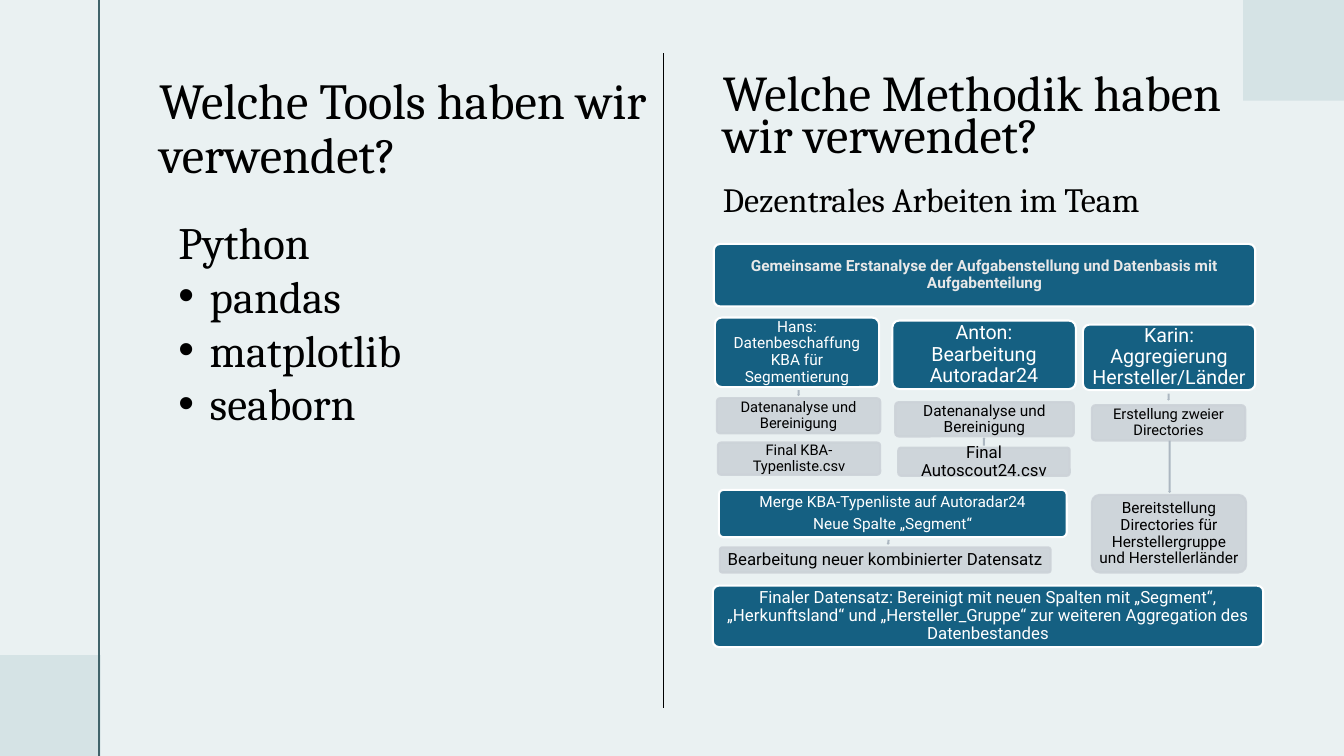
from pptx import Presentation
from pptx.dml.color import RGBColor
from pptx.enum.shapes import MSO_CONNECTOR as Connector, MSO_SHAPE as Shape
from pptx.enum.text import MSO_ANCHOR as Anchor, MSO_AUTO_SIZE as AutoSize, PP_ALIGN as Align
from pptx.oxml.ns import qn
from pptx.util import Inches, Pt
from lxml.etree import SubElement

BLUE, GREY, WHITE, BLACK = "156082", "CCD2D8", "FFFFFF", "000000"

STEPS = [
    (7.09, 3.15, 1.63, 0.69, "Hans: Datenbeschaffung KBA für Segmentierung", 11, BLUE, 0),
    (8.85, 3.18, 1.82, 0.68, "Anton:\vBearbeitung\vAutoradar24", 14, BLUE, -0.48),
    (10.74, 3.22, 1.71, 0.65, "Karin:\vAggregierung\vHersteller/Länder", 14, BLUE, -0.28),
    (7.11, 3.95, 1.62, 0.35, "Datenanalyse und Bereinigung", 10.5, GREY, 0),
    (7.12, 4.39, 1.61, 0.32, "Final KBA-Typenliste.csv", 10.5, GREY, 0),
    (8.88, 3.99, 1.77, 0.34, "Datenanalyse und Bereinigung", 11, GREY, 0),
    (8.91, 4.44, 1.7, 0.28, "Final Autoscout24.csv", 12, GREY, 0),
    (10.83, 4.02, 1.52, 0.35, "Erstellung zweier Directories", 10.5, GREY, 0),
    (10.83, 4.91, 1.53, 0.77,
     "Bereitstellung Directories für Herstellergruppe und Herstellerländer", 11, GREY, 0),
    (7.13, 4.86, 3.45, 0.47,
     "Merge KBA-Typenliste auf Autoradar24\nNeue Spalte „Segment“", 11, BLUE, 0),
    (7.14, 5.43, 3.28, 0.25, "Bearbeitung neuer kombinierter Datensatz", 12, GREY, 0),
    (7.07, 5.81, 5.46, 0.61,
     "Finaler Datensatz: Bereinigt mit neuen Spalten mit „Segment“, „Herkunftsland“ und "
     "„Hersteller_Gruppe“ zur weiteren Aggregation des Datenbestandes", 12, BLUE, 0),
]

ARROWS = [
    (7.92, 3.9, 0.06, 90),
    (11.59, 3.94, 0.07, 90),
    (11.6, 4.63, 0.52, 90),
    (9.76, 4.38, 0.08, 270),
    (8.81, 5.38, 0.05, 97),
]


def color(hex_string):
    return RGBColor.from_string(hex_string)


def format_runs(paragraph, size, hex_string, font_name, bold=False):
    for run in paragraph.runs:
        run.font.name = font_name
        run.font.size = Pt(size)
        run.font.bold = bold
        run.font.color.rgb = color(hex_string)


def add_filled(slide, kind, left, top, width, height, fill):
    shape = slide.shapes.add_shape(
        kind, Inches(left), Inches(top), Inches(width), Inches(height))
    shape.shadow.inherit = False
    shape.fill.solid()
    shape.fill.fore_color.rgb = color(fill)
    shape.line.fill.background()
    return shape


def add_rule(slide, x, top, bottom, hex_string, width):
    rule = slide.shapes.add_connector(
        Connector.STRAIGHT, Inches(x), Inches(top), Inches(x), Inches(bottom))
    rule.line.color.rgb = color(hex_string)
    rule.line.width = Pt(width)
    SubElement(rule._element.spPr, qn("a:effectLst"))


def add_step(slide, left, top, width, height, text, size, fill, first_indent=0,
             text_color=None, bold=False):
    step = add_filled(slide, Shape.ROUNDED_RECTANGLE, left, top, width, height, fill)
    step.adjustments[0] = 0.1
    step.line.color.rgb = color(WHITE if fill == BLUE else GREY)
    step.line.width = Pt(1.5)
    if fill == GREY:
        for solid in step._element.spPr.iter(qn("a:srgbClr")):
            SubElement(solid, qn("a:alpha"), val="90000")
    frame = step.text_frame
    frame.word_wrap = True
    frame.vertical_anchor = Anchor.MIDDLE
    frame.margin_left = frame.margin_right = Inches(0.03)
    frame.margin_top = frame.margin_bottom = Inches(0.02)
    frame.text = text
    for number, paragraph in enumerate(frame.paragraphs):
        paragraph.alignment = Align.CENTER
        paragraph.line_spacing = 0.9
        paragraph.space_before = Pt(4 if number else 0)
        if first_indent:
            properties = paragraph._p.get_or_add_pPr()
            properties.set("marL", "0")
            properties.set("indent", str(Inches(first_indent)))
        format_runs(paragraph, size, text_color or (WHITE if fill == BLUE else BLACK),
                    "Roboto", bold)


def add_arrow(slide, center_x, center_y, length, rotation):
    arrow = add_filled(slide, Shape.RIGHT_ARROW, center_x - length / 2,
                       center_y - 0.015, length, 0.03, "ACB7C1")
    arrow.adjustments[0] = 0.67
    arrow.rotation = rotation


def fill_placeholder(holder, left, top, width, height, lines):
    holder.left, holder.top = Inches(left), Inches(top)
    holder.width, holder.height = Inches(width), Inches(height)
    frame = holder.text_frame
    frame.auto_size = AutoSize.NONE
    frame.word_wrap = True
    frame.vertical_anchor = Anchor.TOP
    frame.margin_right = Inches(0.05)
    frame.text = "\n".join(line[0] for line in lines)
    for paragraph, (_, size, spacing, before, bullet) in zip(frame.paragraphs, lines):
        paragraph.alignment = Align.LEFT
        paragraph.line_spacing = spacing
        paragraph.space_before = Pt(before)
        properties = paragraph._p.get_or_add_pPr()
        hang = Inches(0.31) if bullet else 0
        properties.set("marL", str(hang))
        properties.set("indent", str(-hang))
        if bullet:
            SubElement(properties, qn("a:buFont"), typeface="Arial")
            SubElement(properties, qn("a:buChar"), char="•")
        else:
            SubElement(properties, qn("a:buNone"))
        format_runs(paragraph, size, BLACK, "Cambria")


def main():
    deck = Presentation()
    deck.slide_width, deck.slide_height = Inches(13.33), Inches(7.5)
    slide = deck.slides.add_slide(deck.slide_layouts[3])
    slide.background.fill.solid()
    slide.background.fill.fore_color.rgb = color("EAF1F2")

    for left, top in ((0, 6.5), (12.33, 0)):
        add_filled(slide, Shape.RECTANGLE, left, top, 1, 1, "D5E3E5")
    add_rule(slide, 0.98, 0, 7.5, "40636A", 1.5)
    add_rule(slide, 6.58, 0.53, 7.02, BLACK, 0.5)

    title, tools, method = slide.placeholders
    fill_placeholder(title, 1.48, 0.7, 5.03, 1.28,
                     [("Welche Tools haben wir verwendet?", 36, 0.9, 0, False)])
    fill_placeholder(tools, 1.67, 2.08, 2.91, 2.26,
                     [("Python", 32, 1.0, 0, False)]
                     + [(name, 32, 1.0, 0, True) for name in ("pandas", "matplotlib", "seaborn")])
    fill_placeholder(method, 7.07, 0.72, 5.2, 1.6,
                     [("Welche Methodik haben wir verwendet?", 35.8, 0.7, 0, False),
                      ("Dezentrales Arbeiten im Team", 24.3, 0.7, 20, False)])

    add_step(slide, 7.08, 2.42, 5.37, 0.62,
             "Gemeinsame Erstanalyse der Aufgabenstellung und Datenbasis mit Aufgabenteilung",
             11, BLUE, text_color="E8E8E8", bold=True)
    for step in STEPS:
        add_step(slide, *step)
    for arrow in ARROWS:
        add_arrow(slide, *arrow)
    deck.save("out.pptx")


if __name__ == "__main__":
    main()
